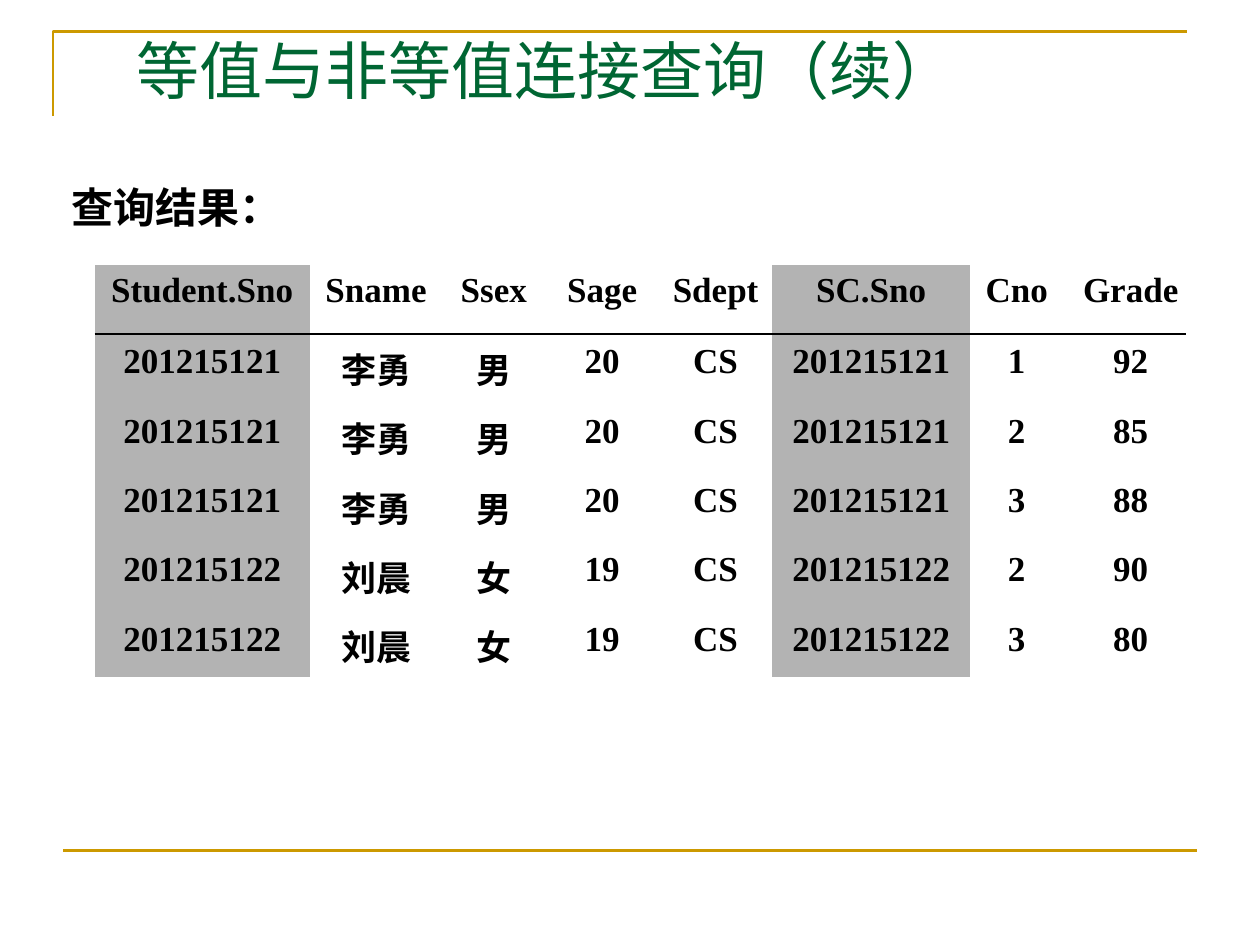
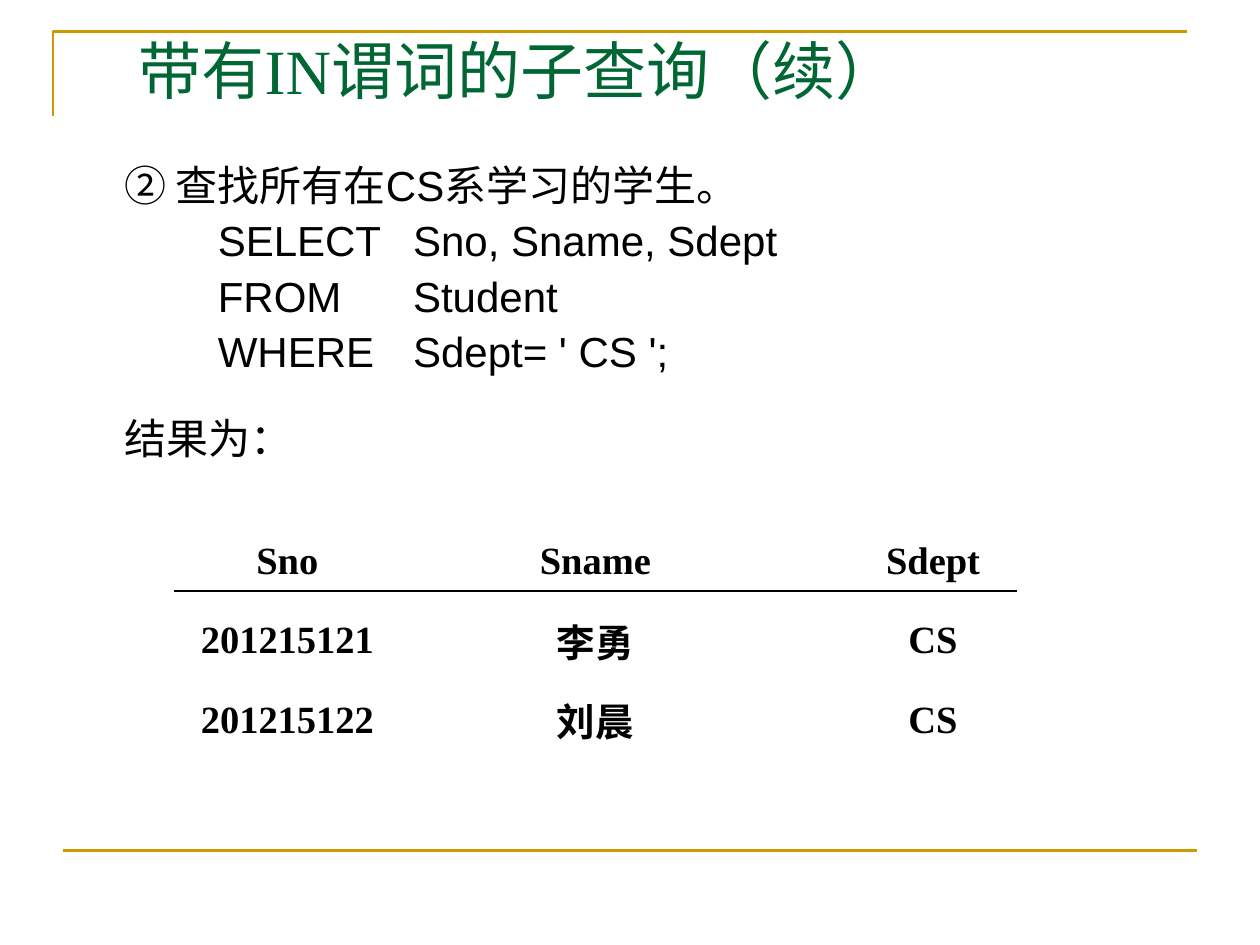
from itertools import accumulate

from lxml import etree
from pptx import Presentation
from pptx.dml.color import RGBColor
from pptx.enum import shapes, text
from pptx.oxml.ns import qn
from pptx.util import Inches, Pt

COLORS = {"gold": "CC9900", "green": "006633", "ink": "000000", "key": "B3B3B3"}
SERIF, SANS = "Times New Roman", "Arial"
PLAIN_TABLE = "{2D5ABB26-0587-4C30-8999-92F81FD0307C}"


def color(name):
    return RGBColor.from_string(COLORS[name])


def style(paragraph, size, font=SERIF, ink="ink", bold=False):
    for run in paragraph.runs:
        run.font.size = Pt(size)
        run.font.name = font
        run.font.bold = bold
        run.font.color.rgb = color(ink)


def add_rule(slide, start, end, ink, width):
    rule = slide.shapes.add_connector(
        shapes.MSO_CONNECTOR.STRAIGHT, *map(Inches, (*start, *end)))
    rule.line.color.rgb = color(ink)
    rule.line.width = Pt(width)
    etree.SubElement(rule._element.spPr, qn("a:effectLst"))


def add_frame(slide):
    builder = slide.shapes.build_freeform(Inches(0.42), Inches(0.92))
    corner = [(Inches(0.42), Inches(0.25)), (Inches(9.42), Inches(0.25))]
    builder.add_line_segments(corner, close=False)
    bracket = builder.convert_to_shape()
    bracket.fill.background()
    bracket.line.color.rgb = color("gold")
    bracket.line.width = Pt(1.5)
    bracket.shadow.inherit = False
    add_rule(slide, (0.5, 6.75), (9.5, 6.75), "gold", 1.5)


def add_titled_slide(deck, heading, left):
    slide = deck.slides.add_slide(deck.slide_layouts[5])
    add_frame(slide)
    title = slide.shapes.title
    title.left, title.top = Inches(left), Inches(0.21)
    title.width, title.height = Inches(8.08), Inches(0.62)
    frame = title.text_frame
    frame.text = heading
    frame.auto_size = text.MSO_AUTO_SIZE.NONE
    frame.vertical_anchor = text.MSO_ANCHOR.MIDDLE
    frame.margin_top, frame.margin_bottom = Inches(0.06), 0
    frame.paragraphs[0].alignment = text.PP_ALIGN.LEFT
    style(frame.paragraphs[0], 36, ink="green")
    return slide


def add_result_table(slide, box, widths, heights, rows, size,
                     anchor=text.MSO_ANCHOR.TOP, key_columns=()):
    graphic = slide.shapes.add_table(len(rows), len(widths), *map(Inches, box))
    table = graphic.table
    table.first_row = table.horz_banding = False
    table._tbl.tblPr.find(qn("a:tableStyleId")).text = PLAIN_TABLE
    for column, width in zip(table.columns, widths):
        column.width = Inches(width)
    for row, height, values in zip(table.rows, heights, rows):
        row.height = Inches(height)
        for index, (cell, value) in enumerate(zip(row.cells, values)):
            cell.text = value
            cell.vertical_anchor = anchor
            if index in key_columns:
                cell.fill.solid()
                cell.fill.fore_color.rgb = color("key")
            else:
                cell.fill.background()
            paragraph = cell.text_frame.paragraphs[0]
            paragraph.alignment = text.PP_ALIGN.CENTER
            style(paragraph, size, bold=True)


def add_label(slide, box, words):
    label = slide.shapes.add_textbox(*map(Inches, box))
    label.text_frame.word_wrap = False
    label.text_frame.text = words
    style(label.text_frame.paragraphs[0], 24, bold=True)


def add_query(slide, box, lines, tab_gaps):
    frame = slide.shapes.add_textbox(*map(Inches, box)).text_frame
    frame.word_wrap = True
    frame.margin_top = 0
    frame.text = "\n".join(lines)
    for paragraph in frame.paragraphs:
        paragraph.line_spacing = 0.9
        paragraph.space_before = Pt(5.8)
        style(paragraph, 24, SANS)
        if paragraph.text.startswith("\t"):
            stops = etree.SubElement(paragraph._p.get_or_add_pPr(), qn("a:tabLst"))
            for position in accumulate(tab_gaps):
                etree.SubElement(stops, qn("a:tab"),
                                 pos=str(Inches(position)), algn="l")
    frame.paragraphs[0].space_before = Pt(0)
    frame.paragraphs[-1].line_spacing = 1.5


def build_join_slide(deck):
    slide = add_titled_slide(deck, "等值与非等值连接查询（续）", 0.98)
    students = {
        "201215121": ("李勇", "男", "20", "CS"),
        "201215122": ("刘晨", "女", "19", "CS"),
    }
    grades = [
        ("201215121", "1", "92"),
        ("201215121", "2", "85"),
        ("201215121", "3", "88"),
        ("201215122", "2", "90"),
        ("201215122", "3", "80"),
    ]
    header = ("Student.Sno", "Sname", "Ssex", "Sage", "Sdept", "SC.Sno", "Cno", "Grade")
    joined = [(sno, *students[sno], sno, cno, grade) for sno, cno, grade in grades]
    add_result_table(slide, (0.75, 2.1, 8.75, 3.25),
                     (1.71, 1.05, 0.82, 0.9, 0.9, 1.57, 0.74, 1.07),
                     (0.57, *[0.55] * 4, 0.47),
                     [header, *joined], 20, key_columns=(0, 5))
    add_label(slide, (0.47, 1.39, 1.87, 0.5), "查询结果：")
    add_rule(slide, (0.75, 2.65), (9.41, 2.65), "ink", 0.75)


def build_subquery_slide(deck):
    slide = add_titled_slide(deck, "带有IN谓词的子查询（续）", 1)
    query = [
        "② 查找所有在CS系学习的学生。",
        "\tSELECT\tSno, Sname, Sdept",
        "\tFROM\tStudent",
        "\tWHERE\tSdept= ' CS ';",
        "结果为：",
    ]
    add_query(slide, (0.89, 1.31, 7.18, 2.54), query, (0.74, 1.55))
    found = [
        ("Sno", "Sname", "Sdept"),
        ("201215121", "李勇", "CS"),
        ("201215122", "刘晨", "CS"),
    ]
    add_result_table(slide, (1.14, 4.14, 7.64, 1.89), (2.28, 2.61, 2.75),
                     [0.63] * 3, found, 22, anchor=text.MSO_ANCHOR.MIDDLE)
    add_rule(slide, (1.38, 4.69), (8.07, 4.69), "ink", 0.75)


def main():
    deck = Presentation()
    deck.slide_width, deck.slide_height = Inches(10), Inches(7.5)
    build_join_slide(deck)
    build_subquery_slide(deck)
    deck.save("out.pptx")


if __name__ == "__main__":
    main()
